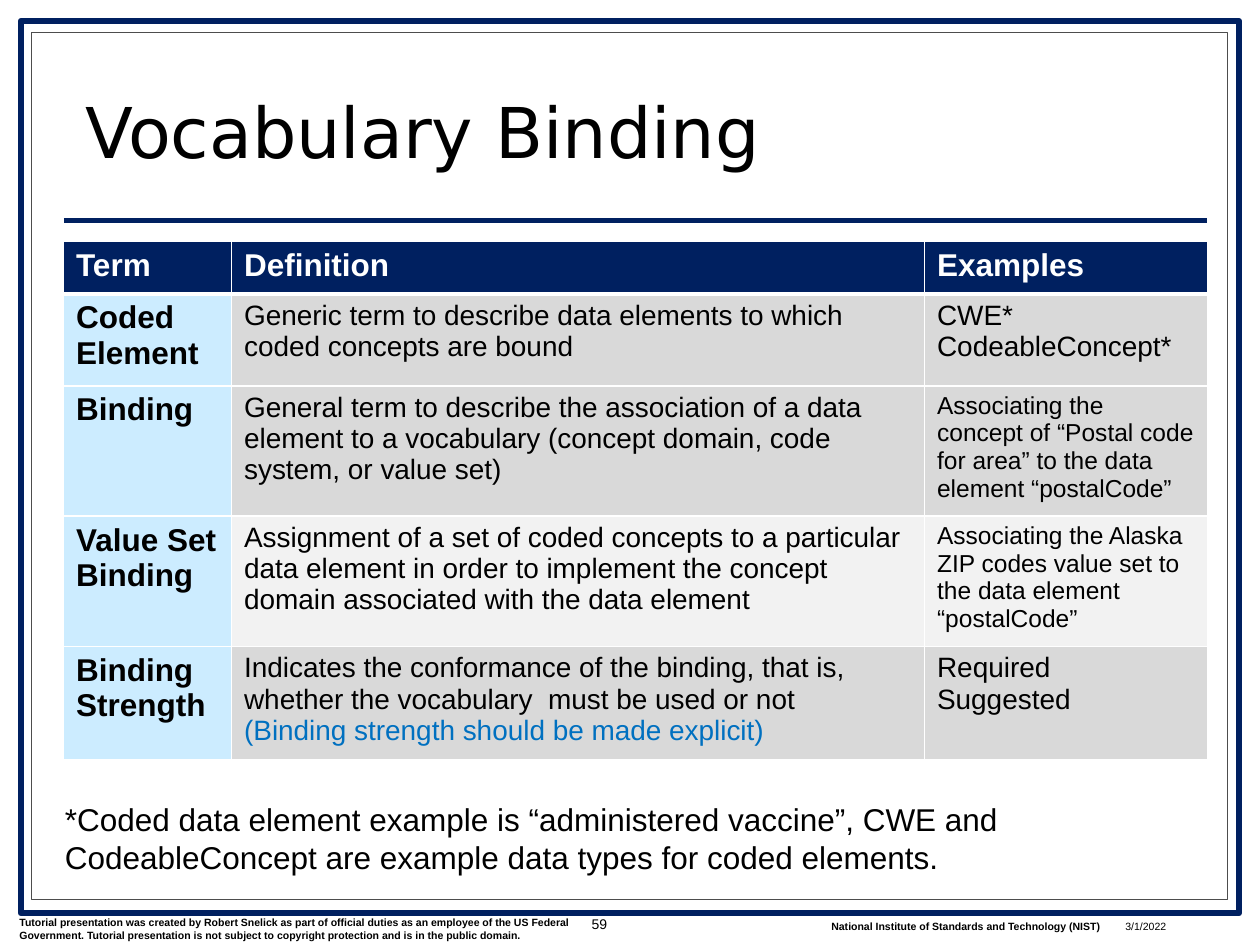
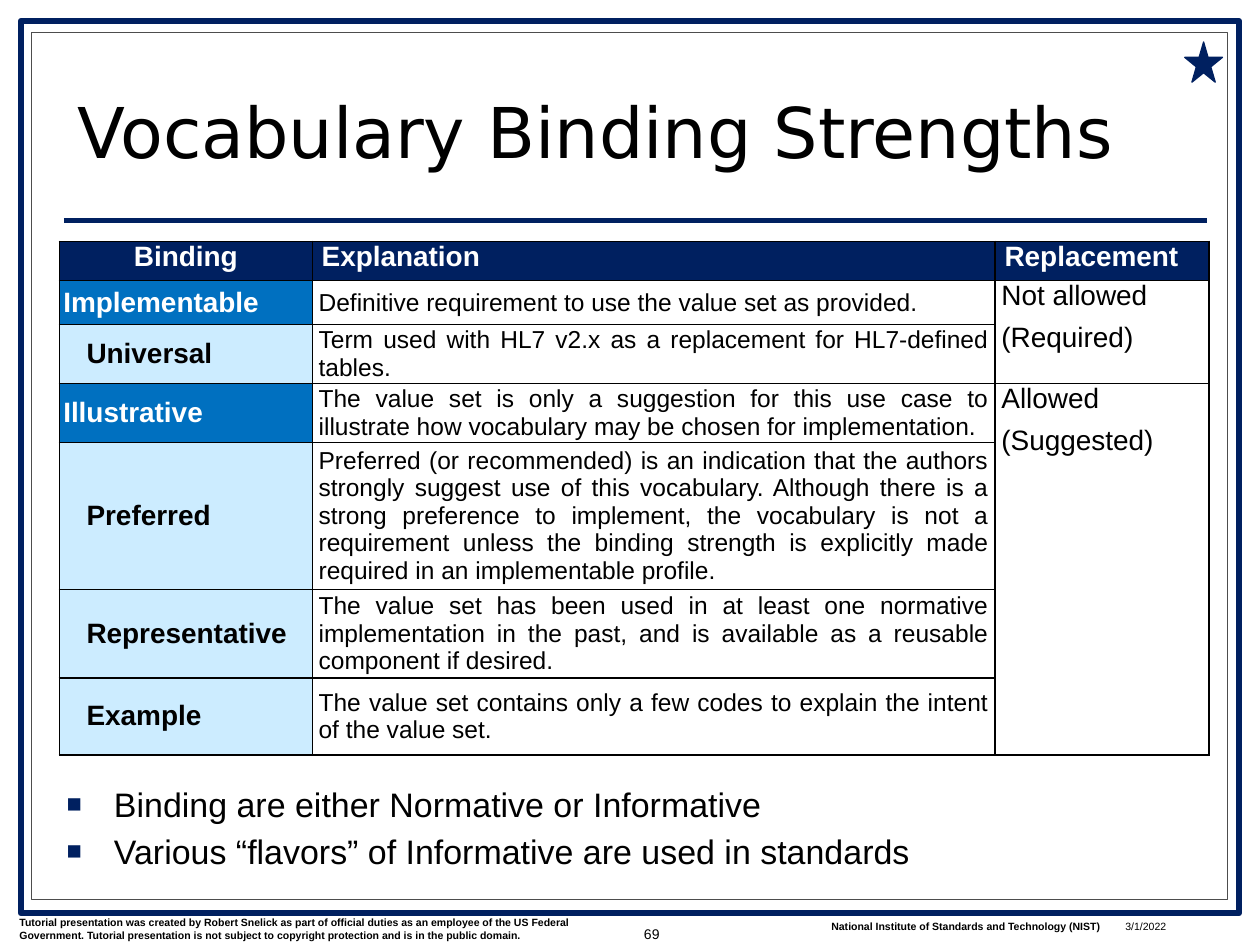
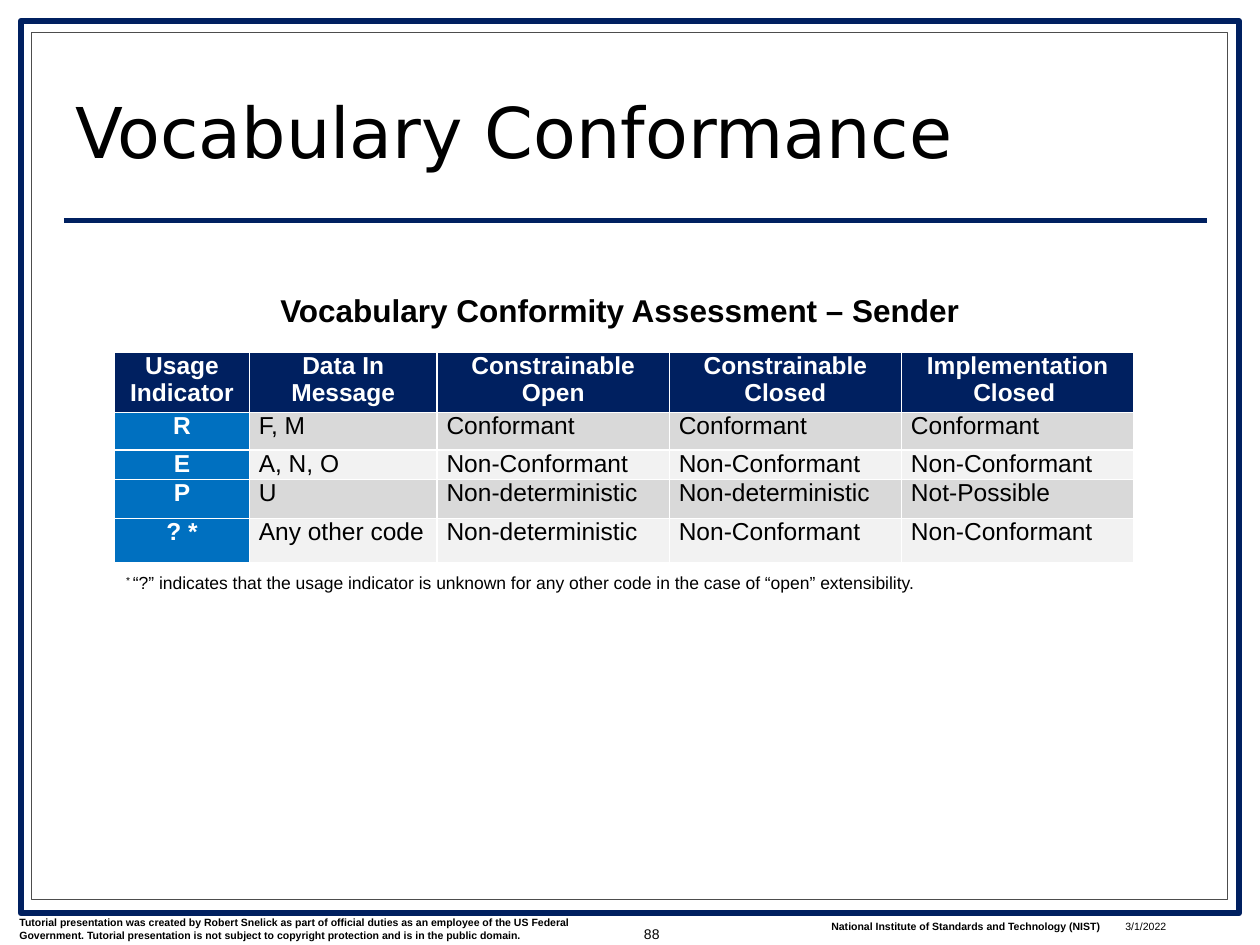
from dataclasses import dataclass, replace
from typing import NamedTuple, Optional

import pptx
import pptx.dml.color
import pptx.enum.shapes
import pptx.enum.text
import pptx.oxml
import pptx.oxml.ns
import pptx.util

Pt = pptx.util.Pt
RGB = pptx.dml.color.RGBColor
ALIGN = pptx.enum.text.PP_ALIGN
ANCHOR = pptx.enum.text.MSO_ANCHOR
SHAPE = pptx.enum.shapes.MSO_SHAPE


# Theme: colours, fonts and type sizes
@dataclass(frozen=True)
class Theme:
    navy: RGB = RGB(0x00, 0x20, 0x60)
    blue: RGB = RGB(0x00, 0x70, 0xC0)
    sky: RGB = RGB(0xCC, 0xEC, 0xFF)
    band: RGB = RGB(0xD9, 0xD9, 0xD9)
    pale: RGB = RGB(0xF2, 0xF2, 0xF2)
    rule: RGB = RGB(0x4D, 0x4D, 0x4D)
    black: RGB = RGB(0, 0, 0)
    white: RGB = RGB(0xFF, 0xFF, 0xFF)
    font: str = "Arial"
    title_font: str = "DejaVu Sans"
    title: float = 40
    bullet: float = 19.4
    large: float = 18
    medium: float = 16
    small: float = 14
    note: float = 10
    number: float = 8
    footer: float = 6


T = Theme()


class Box(NamedTuple):
    x: float
    y: float
    w: float
    h: float

    def lengths(self) -> list[int]:
        return [Pt(v) for v in self]


@dataclass(frozen=True)
class TextStyle:
    size: float = T.large
    bold: bool = False
    color: RGB = T.black
    font: str = T.font
    align: ALIGN = ALIGN.LEFT
    before: float = 0
    after: float = 0
    spacing: Optional[float] = None
    left: float = 0
    bullet: bool = False


class Run(NamedTuple):
    text: str
    color: Optional[RGB] = None
    raised: bool = False


@dataclass(frozen=True)
class CellStyle:
    text: TextStyle
    fill: RGB = T.white
    anchor: ANCHOR = ANCHOR.TOP
    inset: tuple[float, float] = (7.2, 3.6)


@dataclass(frozen=True)
class Cell:
    style: CellStyle
    lines: tuple = ()  # one string, Run or tuple of Runs per paragraph


@dataclass(frozen=True)
class Grid:
    at: Box
    cols: list[float]
    rows: list[float]
    cells: list[list[Cell]]
    border: RGB
    header_rule: float = 1


# Text helpers
def add_xml(parent, xml: str, index: Optional[int] = None) -> None:
    tag, rest = xml[1:].split(None, 1) if " " in xml else (xml[1:-2], "/>")
    el = pptx.oxml.parse_xml(f"<{tag} {pptx.oxml.ns.nsdecls('a')} {rest}")
    if index is None:
        parent.append(el)
    else:
        parent.insert(index, el)


def write_paragraph(p, line, style: TextStyle) -> None:
    p.alignment = style.align
    p.space_before, p.space_after = Pt(style.before), Pt(style.after)
    if style.spacing:
        p.line_spacing = style.spacing
    pPr = p._p.get_or_add_pPr()
    if style.left:
        pPr.set("marL", str(Pt(style.left)))
    if style.bullet:
        pPr.set("indent", str(-Pt(style.left)))
        add_xml(pPr, f'<a:buClr ><a:srgbClr val="{T.navy}"/></a:buClr>')
        add_xml(pPr, '<a:buSzPct val="75000"/>')
        add_xml(pPr, f'<a:buFont typeface="{T.font}"/>')
        add_xml(pPr, '<a:buChar char="■"/>')
    for run in line if isinstance(line, list) else [line]:
        run = run if isinstance(run, Run) else Run(run)
        r = p.add_run()
        r.text = run.text
        r.font.name, r.font.size = style.font, Pt(style.size)
        r.font.bold = style.bold
        r.font.color.rgb = run.color or style.color
        if run.raised:
            r._r.get_or_add_rPr().set("baseline", "30000")


def write_lines(tf, lines: tuple, style: TextStyle) -> None:
    for i, line in enumerate(lines):
        write_paragraph(tf.add_paragraph() if i else tf.paragraphs[0], line, style)


def add_text(s, box: Box, lines: tuple, style: TextStyle,
             anchor: ANCHOR = ANCHOR.TOP, wrap: bool = True) -> None:
    tf = s.shapes.add_textbox(*box.lengths()).text_frame
    tf.word_wrap = wrap
    tf.vertical_anchor = anchor
    write_lines(tf, lines, style)


# Shape and table helpers
def add_shape(s, kind: SHAPE, box: Box, fill: RGB, line: RGB, width: float) -> None:
    sp = s.shapes.add_shape(kind, *box.lengths())
    sp.shadow.inherit = False
    sp.fill.solid()
    sp.fill.fore_color.rgb = fill
    sp.line.color.rgb = line
    sp.line.width = Pt(width)


def style_cell(cell, style: CellStyle) -> None:
    cell.fill.solid()
    cell.fill.fore_color.rgb = style.fill
    cell.vertical_anchor = style.anchor
    cell.margin_left = cell.margin_right = Pt(style.inset[0])
    cell.margin_top = cell.margin_bottom = Pt(style.inset[1])


def add_borders(cell, color: RGB, top: float, bottom: float) -> None:
    tcPr = cell._tc.get_or_add_tcPr()
    sides = {"lnL": 1, "lnR": 1, "lnT": top, "lnB": bottom}
    for i, (side, width) in enumerate(sides.items()):
        add_xml(tcPr, f'<a:{side} w="{Pt(width)}"><a:solidFill><a:srgbClr val="{color}"/>'
                      f"</a:solidFill></a:{side}>", i)


def add_grid(s, grid: Grid) -> None:
    gf = s.shapes.add_table(len(grid.rows), len(grid.cols), *grid.at.lengths())
    tbl = gf.table
    tbl.first_row = tbl.horz_banding = False
    for col, width in zip(tbl.columns, grid.cols):
        col.width = Pt(width)
    for row, height in zip(tbl.rows, grid.rows):
        row.height = Pt(height)
    gf.height = Pt(grid.at.h)
    for i, row in enumerate(grid.cells):
        for j, spec in enumerate(row):
            cell = tbl.cell(i, j)
            style_cell(cell, spec.style)
            add_borders(cell, grid.border,
                        top=grid.header_rule if i == 1 else 1,
                        bottom=grid.header_rule if i == 0 else 1)
            write_lines(cell.text_frame, spec.lines, spec.style.text)
    # A cell without text joins the one above it
    for j in range(len(grid.cols)):
        starts = [i for i, row in enumerate(grid.cells) if row[j].lines]
        for start, end in zip(starts, starts[1:] + [len(grid.rows)]):
            if end - start > 1:
                tbl.cell(start, j).merge(tbl.cell(end - 1, j))


# Parts every slide shares
def add_page(prs, title: str, title_box: Box, number: str, number_box: Box):
    s = prs.slides.add_slide(prs.slide_layouts[6])
    add_shape(s, SHAPE.RECTANGLE, Box(12, 12, 696, 510), T.white, T.navy, 3.5)
    add_shape(s, SHAPE.RECTANGLE, Box(18, 18.7, 683.5, 495.5), T.white, T.rule, 0.75)
    rule = s.shapes.add_connector(pptx.enum.shapes.MSO_CONNECTOR.STRAIGHT,
                                  Pt(36.5), Pt(126), Pt(690), Pt(126))
    rule.line.color.rgb = T.navy
    rule.line.width = Pt(3)
    add_xml(rule._element.spPr, "<a:effectLst/>")

    footer = TextStyle(T.footer)
    add_text(s, Box(4, 520, 348, 21.6), (
        "Tutorial presentation was created by Robert Snelick as part of official duties "
        "as an employee of the US Federal Government. Tutorial presentation is not "
        "subject to copyright protection and is in the public domain.",
    ), replace(footer, bold=True))
    add_text(s, Box(468, 522, 171.5, 14.4),
             ("National Institute of Standards and Technology (NIST)",),
             replace(footer, bold=True))
    add_text(s, title_box, (title,),
             TextStyle(T.title, font=T.title_font, spacing=0.8), ANCHOR.BOTTOM)
    add_text(s, Box(636, 522, 66, 12), ("3/1/2022",), footer)
    add_text(s, number_box, (number,),
             TextStyle(T.number, align=ALIGN.RIGHT), ANCHOR.MIDDLE)
    return s


NUMBER_BOX = Box(342, 515, 42, 37.5)


# Slide: terms and definitions
def terms_slide(prs) -> None:
    s = add_page(prs, "Vocabulary Binding", Box(42, 37.5, 642, 64.5),
                 "59", Box(312, 509, 42, 37.5))
    head = CellStyle(TextStyle(bold=True, color=T.white), T.navy)
    term = CellStyle(TextStyle(bold=True), T.sky)
    entries = [
        ("Coded Element", T.band, T.medium,
         ("Generic term to describe data elements to which coded concepts are bound",),
         ("CWE*", "CodeableConcept*")),
        ("Binding", T.band, T.small,
         ("General term to describe the association of a data element to a vocabulary "
          "(concept domain, code system, or value set)",),
         ("Associating the concept of “Postal code for area” to the data element "
          "“postalCode”",)),
        ("Value Set Binding", T.pale, T.small,
         ("Assignment of a set of coded concepts to a particular data element in order "
          "to implement the concept domain associated with the data element",),
         ("Associating the Alaska ZIP codes value set to the data element “postalCode”",)),
        ("Binding Strength", T.band, T.medium,
         ("Indicates the conformance of the binding, that is, whether the vocabulary  "
          "must be used or not",
          Run("(Binding strength should be made explicit)", T.blue)),
         ("Required", "Suggested")),
    ]
    cells = [[Cell(head, (h,)) for h in ("Term", "Definition", "Examples")]]
    for name, fill, example_size, definition, examples in entries:
        cells.append([Cell(term, (name,)),
                      Cell(CellStyle(TextStyle(T.medium), fill), definition),
                      Cell(CellStyle(TextStyle(example_size), fill), examples)])
    add_grid(s, Grid(Box(36.3, 138, 654, 296), [96, 396, 162], [30] + [52.5] * 4,
                     cells, T.white, header_rule=3))
    add_text(s, Box(30, 453.5, 600, 51), (
        "*Coded data element example is “administered vaccine”, CWE and "
        "CodeableConcept are example data types for coded elements.",
    ), TextStyle(T.large))


# Slide: binding strengths
def strengths_slide(prs) -> None:
    s = add_page(prs, "Vocabulary Binding Strengths", Box(37.5, 36, 642, 66),
                 "69", NUMBER_BOX)
    add_text(s, Box(31, 444, 654.5, 54), (
        "Binding are either Normative or Informative",
        "Various “flavors” of Informative are used in standards",
    ), TextStyle(T.bullet, before=3.9, left=27, bullet=True))

    justified = TextStyle(T.medium, align=ALIGN.JUSTIFY, after=6)
    bold_white = replace(justified, bold=True, color=T.white)
    head = CellStyle(bold_white, T.navy, inset=(5.4, 0))
    centred_head = replace(head, text=replace(bold_white, align=ALIGN.CENTER))
    group = CellStyle(bold_white, T.blue, ANCHOR.MIDDLE, (2.2, 2.2))
    member = replace(group, text=replace(justified, bold=True, left=13.3), fill=T.sky)
    explanation = CellStyle(replace(justified, size=T.small),
                            anchor=ANCHOR.MIDDLE, inset=(3.6, 0))
    replacement = CellStyle(justified, inset=(3.6, 0))
    entries = [
        (group, "Implementable", "Definitive requirement to use the value set as provided.",
         ("Not allowed", "(Required)")),
        (member, "Universal",
         "Term used with HL7 v2.x as a replacement for HL7-defined tables.", ()),
        (group, "Illustrative",
         "The value set is only a suggestion for this use case to illustrate how "
         "vocabulary may be chosen for implementation.", ("Allowed", "(Suggested)")),
        (member, "Preferred",
         "Preferred (or recommended) is an indication that the authors strongly suggest "
         "use of this vocabulary. Although there is a strong preference to implement, "
         "the vocabulary is not a requirement unless the binding strength is explicitly "
         "made required in an implementable profile.", ()),
        (member, "Representative",
         "The value set has been used in at least one normative implementation in the "
         "past, and is available as a reusable component if desired.", ()),
        (member, "Example",
         "The value set contains only a few codes to explain the intent of the value set.",
         ()),
    ]
    cells = [[Cell(centred_head, ("Binding",)), Cell(head, ("Explanation",)),
              Cell(head, ("Replacement",))]]
    for style, name, text, allowed in entries:
        cells.append([Cell(style, (name,)), Cell(explanation, (text,)),
                      Cell(replacement, allowed)])
    add_grid(s, Grid(Box(34, 138, 657, 294), [144.5, 390.2, 122.3],
                     [22.3, 25.2, 25.2, 28.8, 44, 44, 44], cells, T.black))
    add_shape(s, SHAPE.STAR_5_POINT, Box(677, 24, 21.6, 23), T.navy, T.navy, 0.75)


# Slide: conformance of a sender
def conformance_slide(prs) -> None:
    s = add_page(prs, "Vocabulary Conformance", Box(36, 37.5, 654, 64.5),
                 "88", NUMBER_BOX)
    add_text(s, Box(65.5, 162.7, 582.5, 29),
             ("Vocabulary Conformity Assessment – Sender ",),
             TextStyle(T.large, bold=True, align=ALIGN.CENTER))

    inset = (5.4, 0)
    body = TextStyle(T.small, before=3, after=3)
    label = replace(body, bold=True, color=T.white, align=ALIGN.CENTER)
    head = CellStyle(replace(label, before=1, after=6), T.navy, inset=inset)
    usage = CellStyle(label, T.blue, inset=inset)
    yes, no, unknown = "Conformant", "Non-Conformant", "Non-deterministic"
    entries = [
        ("R", "F, M", yes, yes, yes),
        ("E", "A, N, O", no, no, no),
        ("P", "U", unknown, unknown, "Not-Possible"),
        ("? *", "Any other code", unknown, no, no),
    ]
    cells = [[Cell(head, (h,)) for h in (
        "Usage Indicator", "Data In Message", "Constrainable Open",
        "Constrainable Closed", "Implementation Closed ")]]
    for i, (code, *values) in enumerate(entries):
        data = CellStyle(body, T.pale if i % 2 else T.band, inset=inset)
        cells.append([Cell(usage, (code,))] + [Cell(data, (v,)) for v in values])
    add_grid(s, Grid(Box(65.5, 201, 582.5, 121), [77, 107.3] + [132.7] * 3,
                     [34.6, 21.6, 16, 22.3, 25.2], cells, T.white))
    add_text(s, Box(65, 323.3, 470, 19.4), ([
        Run("* ", raised=True),
        Run("“?” indicates that the usage indicator is unknown for any other code in "
            "the case of “open” extensibility."),
    ],), TextStyle(T.note, align=ALIGN.JUSTIFY), ANCHOR.MIDDLE, wrap=False)


def main() -> None:
    prs = pptx.Presentation()
    prs.slide_width, prs.slide_height = Pt(720), Pt(540)
    terms_slide(prs)
    strengths_slide(prs)
    conformance_slide(prs)
    prs.save("out.pptx")


if __name__ == "__main__":
    main()
